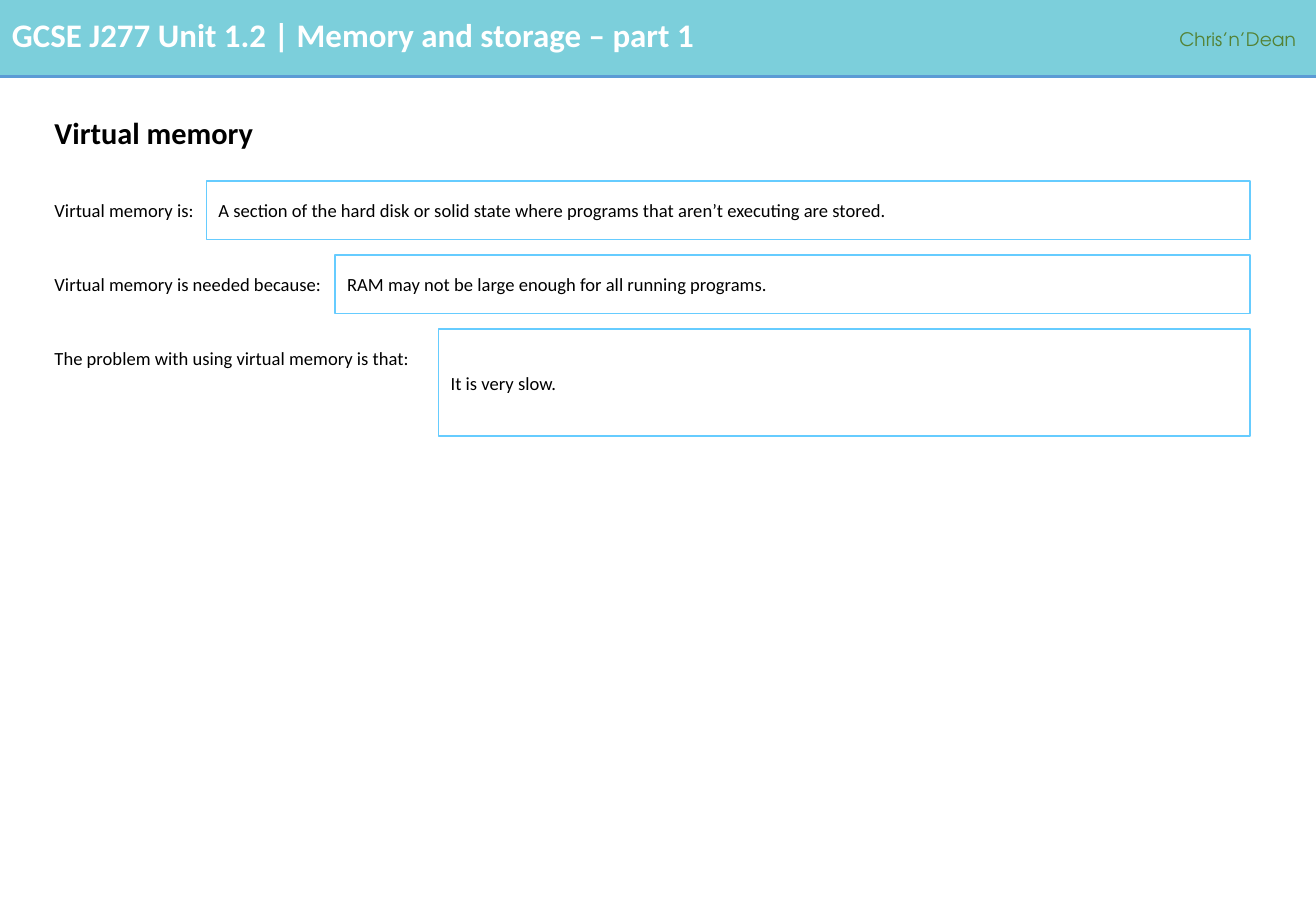
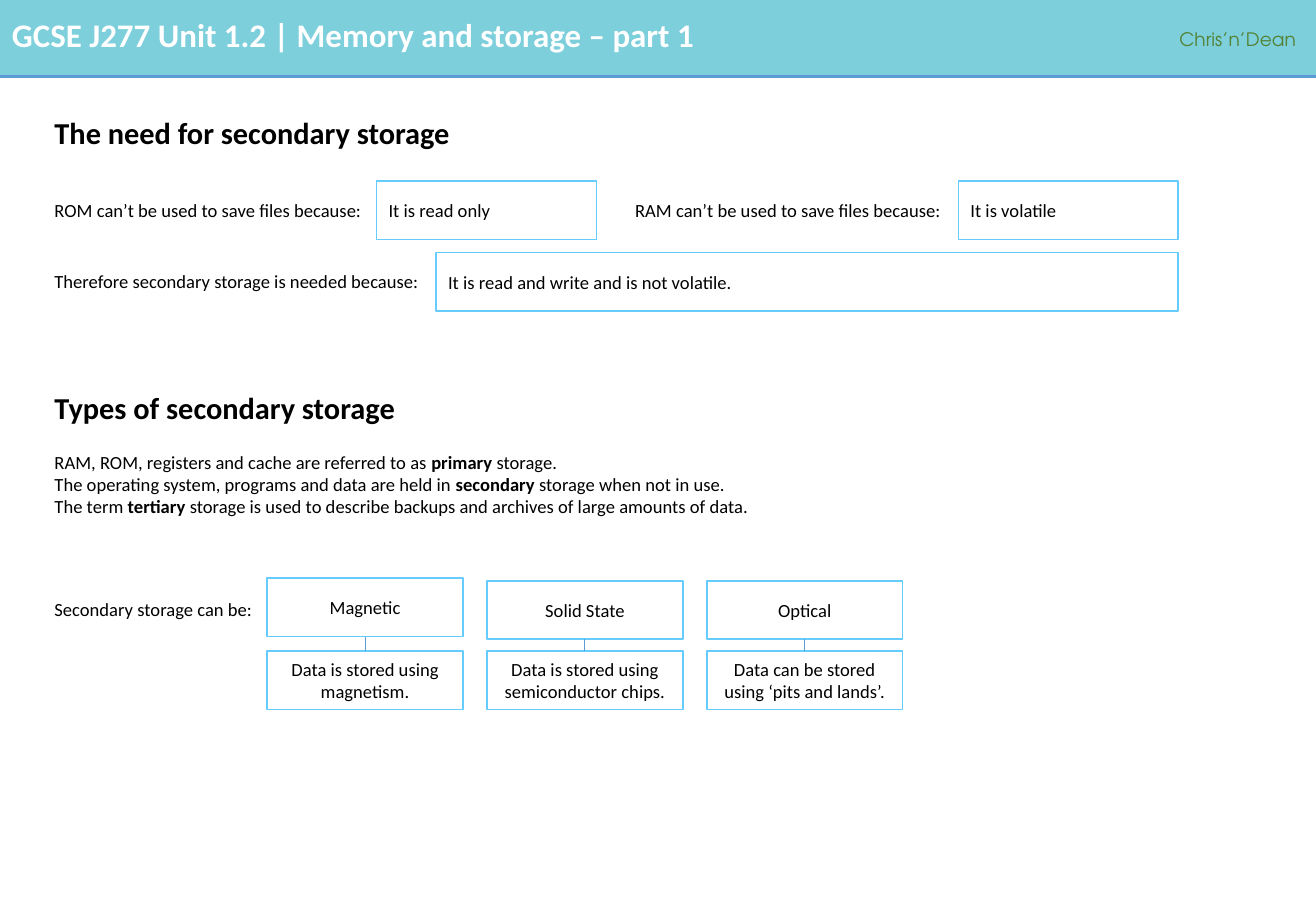
from lxml.etree import SubElement
from pptx import Presentation
from pptx.dml.color import RGBColor
from pptx.enum.shapes import MSO_CONNECTOR, MSO_SHAPE
from pptx.enum.text import MSO_ANCHOR, PP_ALIGN
from pptx.oxml.ns import qn
from pptx.util import Pt

COLOURS = {
    "band": "7CCFDB",
    "rule": "5B9BD5",
    "box": "66CCFF",
    "author": "548235",
    "ink": "000000",
    "white": "FFFFFF",
}
WIDTH, HEIGHT = 780, 540
BAND_HEIGHT = 45.4
MARGIN = 25.2
BOX_HEIGHT = 34.6
FIRST_ROW = 107.3


class Worksheet:
    font = "Calibri"
    body_size = 11
    heading_size = 18

    def __init__(self):
        self.deck = Presentation()
        self.deck.slide_width, self.deck.slide_height = Pt(WIDTH), Pt(HEIGHT)
        self.page = None

    def colour(self, name):
        return RGBColor.from_string(COLOURS[name])

    def add_page(self):
        self.page = self.deck.slides.add_slide(self.deck.slide_layouts[6])
        self.rectangle(0, 0, WIDTH, BAND_HEIGHT, fill="band")
        self.line(0, BAND_HEIGHT, WIDTH, BAND_HEIGHT, 2.25)
        self.text(0, 5, 682, 31, "*GCSE J277 Unit 1.2 | Memory and storage – part 1*",
                  size=19.5, colour="white")
        self.text(692, 12.2, 88, 21, "Chris’n’Dean",
                  colour="author", font="TeX Gyre Adventor", spacing=1.07)

    def fill_text(self, frame, text, size=body_size, colour="ink", font=font,
                  align=PP_ALIGN.LEFT, spacing=1.0):
        """Fill a frame, one paragraph a line; words between asterisks are bold."""
        frame.word_wrap = True
        for index, line in enumerate(text.split("\n")):
            para = frame.paragraphs[0] if index == 0 else frame.add_paragraph()
            para.alignment = align
            para.line_spacing = spacing
            for part, words in enumerate(line.split("*")):
                if not words:
                    continue
                span = para.add_run()
                span.text = words
                span.font.name = font
                span.font.size = Pt(size)
                span.font.bold = part % 2 == 1
                span.font.color.rgb = self.colour(colour)

    def text(self, left, top, width, height, text, anchor=MSO_ANCHOR.TOP, **style):
        box = self.page.shapes.add_textbox(Pt(left), Pt(top), Pt(width), Pt(height))
        box.text_frame.vertical_anchor = anchor
        self.fill_text(box.text_frame, text, **style)

    def heading(self, top, text):
        self.text(MARGIN, top, 727, 40.3, f"*{text}*", MSO_ANCHOR.MIDDLE,
                  size=self.heading_size, spacing=0.9)

    def label(self, left, row_top, width, text):
        """Place a label beside the box whose top is row_top."""
        self.text(left, row_top + 7, width, 21, text)

    def rectangle(self, left, top, width, height, fill=None):
        box = self.page.shapes.add_shape(
            MSO_SHAPE.RECTANGLE, Pt(left), Pt(top), Pt(width), Pt(height))
        box.shadow.inherit = False
        if fill:
            box.fill.solid()
            box.fill.fore_color.rgb = self.colour(fill)
            box.line.fill.background()
        else:
            box.fill.background()
            box.line.color.rgb = self.colour("box")
            box.line.width = Pt(1)
        return box

    def answer(self, left, top, width, text, height=BOX_HEIGHT, align=PP_ALIGN.LEFT):
        box = self.rectangle(left, top, width, height)
        box.text_frame.vertical_anchor = MSO_ANCHOR.MIDDLE
        self.fill_text(box.text_frame, text, align=align)

    def question(self, left, top, label, answer_left, answer_right, answer,
                 height=BOX_HEIGHT):
        """Place a label and the answer box that completes it."""
        self.label(left, top, answer_left - left + 3, label)
        self.answer(answer_left, top, answer_right - answer_left, answer, height)

    def line(self, x1, y1, x2, y2, weight):
        connector = self.page.shapes.add_connector(
            MSO_CONNECTOR.STRAIGHT, Pt(x1), Pt(y1), Pt(x2), Pt(y2))
        connector.line.color.rgb = self.colour("rule")
        connector.line.width = Pt(weight)
        SubElement(connector._element.spPr, qn("a:effectLst"))


def virtual_memory(sheet):
    sheet.add_page()
    sheet.heading(59.8, "Virtual memory")
    questions = [
        ("Virtual memory is:", 122.4, BOX_HEIGHT,
         "A section of the hard disk or solid state where programs that "
         "aren’t executing are stored."),
        ("Virtual memory is needed because:", 198.7, BOX_HEIGHT,
         "RAM may not be large enough for all running programs."),
        ("The problem with using virtual memory is that:", 260, 63.4,
         "It is very slow."),
    ]
    for row, (label, answer_left, height, answer) in enumerate(questions):
        sheet.question(MARGIN, FIRST_ROW + row * 43.9, label,
                       answer_left, 740.9, answer, height)


def secondary_storage(sheet):
    sheet.add_page()
    right_edge = 698.4
    sheet.heading(59.8, "The need for secondary storage")
    sheet.question(MARGIN, FIRST_ROW, "ROM can’t be used to save files because:",
                   223.2, 353.5, "It is read only")
    sheet.question(369.4, FIRST_ROW, "RAM can’t be used to save files because:",
                   568.1, right_edge, "It is volatile")
    sheet.question(MARGIN, 149.6, "Therefore secondary storage is needed because:",
                   258.5, right_edge, "It is read and write and is not volatile.")

    sheet.heading(222.5, "Types of secondary storage")
    sheet.text(MARGIN, 263.5, 522, 47.5,
               "RAM, ROM, registers and cache are referred to as *primary* storage.\n"
               "The operating system, programs and data are held in *secondary* "
               "storage when not in use.\n"
               "The term *tertiary* storage is used to describe backups and "
               "archives of large amounts of data.")

    sheet.label(MARGIN, 343.7, 136, "Secondary storage can be:")
    storage_types = [
        ("Magnetic", 342.7, "Data is stored using magnetism."),
        ("Solid State", 344.2, "Data is stored using semiconductor chips."),
        ("Optical", 344.2, "Data can be stored using ‘pits and lands’."),
    ]
    width, detail_top = 116, 385.9
    for column, (name, top, detail) in enumerate(storage_types):
        left = 158.4 + column * 130.3
        middle = left + width / 2
        sheet.answer(left, top, width, name, align=PP_ALIGN.CENTER)
        sheet.answer(left, detail_top, width, detail, align=PP_ALIGN.CENTER)
        sheet.line(middle, top + BOX_HEIGHT, middle, detail_top, 0.5)


def main():
    sheet = Worksheet()
    virtual_memory(sheet)
    secondary_storage(sheet)
    sheet.deck.save("out.pptx")


if __name__ == "__main__":
    main()
